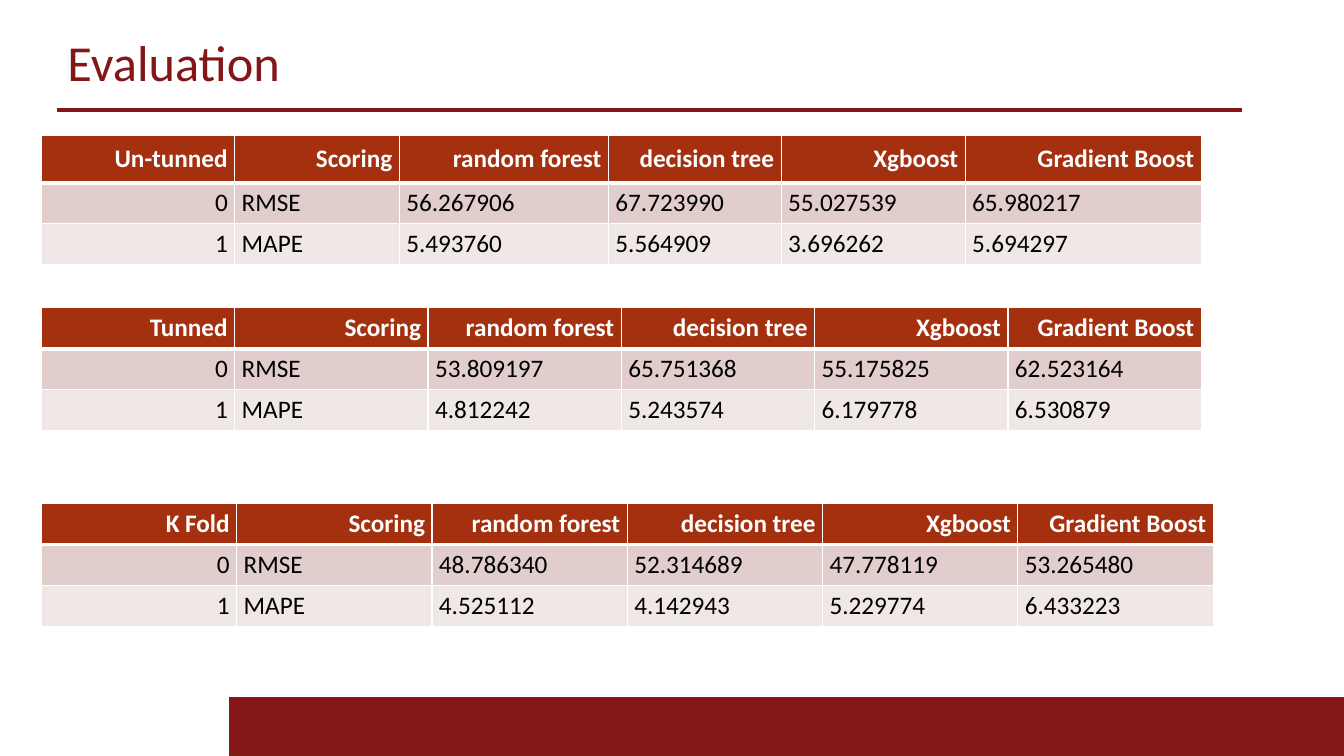
from lxml import etree
from pptx import Presentation
from pptx.dml.color import RGBColor
from pptx.enum.shapes import MSO_CONNECTOR, MSO_SHAPE
from pptx.enum.text import MSO_ANCHOR, PP_ALIGN
from pptx.oxml.ns import qn
from pptx.util import Pt

RECT = MSO_SHAPE.RECTANGLE
STRAIGHT = MSO_CONNECTOR.STRAIGHT
MIDDLE = MSO_ANCHOR.MIDDLE
LEFT, RIGHT = PP_ALIGN.LEFT, PP_ALIGN.RIGHT

FONT = "Calibri"
CRIMSON = "841617"
WHITE = "FFFFFF"
ROW_FILLS = ["A5300F", "E1CDCC", "F0E8E7"]
MODELS = ["random forest", "decision tree", "Xgboost", "Gradient Boost"]
ROW_H = 29.3
TABLE_X = 29.6

TABLES = [
    ("Un-tunned", 96.6, 33.9, [138.1, 117.6, 149.4, 123.4, 131.4, 168.6],
     ["56.267906", "67.723990", "55.027539", "65.980217"],
     ["5.493760", "5.564909", "3.696262", "5.694297"]),
    ("Tunned", 219.8, ROW_H, [138.1] * 6,
     ["53.809197", "65.751368", "55.175825", "62.523164"],
     ["4.812242", "5.243574", "6.179778", "6.530879"]),
    ("K Fold", 359.6, ROW_H, [139.5] * 6,
     ["48.786340", "52.314689", "47.778119", "53.265480"],
     ["4.525112", "4.142943", "5.229774", "6.433223"]),
]


def rgb(color):
    return RGBColor.from_string(color)


def set_font(p, size, color, bold=False):
    p.font.name = FONT
    p.font.size = Pt(size)
    p.font.color.rgb = rgb(color)
    p.font.bold = bold


def set_border(cell, side, width):
    tcPr = cell._tc.get_or_add_tcPr()
    ln = etree.SubElement(tcPr, qn(f"a:ln{side}"), w=str(Pt(width)))
    fill = etree.SubElement(ln, qn("a:solidFill"))
    etree.SubElement(fill, qn("a:srgbClr"), val=WHITE)


def add_footer(s, x, y, w, h):
    sp = s.shapes.add_shape(RECT, Pt(x), Pt(y), Pt(w), Pt(h))
    sp.shadow.inherit = False
    sp.fill.solid()
    sp.fill.fore_color.rgb = rgb(CRIMSON)
    sp.line.color.rgb = rgb("7A240B")
    sp.line.width = Pt(0.85)


def add_title(s, text, x, y, w, h):
    rule_y = y + h + 6.5
    rule = s.shapes.add_connector(STRAIGHT, Pt(x), Pt(rule_y), Pt(x + w), Pt(rule_y))
    rule.line.color.rgb = rgb(CRIMSON)
    rule.line.width = Pt(2.5)
    etree.SubElement(rule._element.spPr, qn("a:effectLst"))

    sp = s.shapes.title
    sp.left, sp.top, sp.width, sp.height = Pt(x), Pt(y), Pt(w), Pt(h)
    tf = sp.text_frame
    tf.text = text
    tf.vertical_anchor = MIDDLE
    p = tf.paragraphs[0]
    p.alignment = LEFT
    p.line_spacing = 0.9
    set_font(p, 36, CRIMSON)


def fill_cell(cell, text, row, col):
    cell.margin_left = cell.margin_right = Pt(5)
    cell.margin_top = cell.margin_bottom = Pt(2.5)
    cell.vertical_anchor = MIDDLE
    header = row == 0
    widths = {"L": 1, "R": 1, "T": 3 if row == 1 else 1, "B": 3 if header else 1}
    for side, width in widths.items():
        set_border(cell, side, width)
    cell.fill.solid()
    cell.fill.fore_color.rgb = rgb(ROW_FILLS[row])
    cell.text = text
    p = cell.text_frame.paragraphs[0]
    p.alignment = RIGHT if header or col == 0 else LEFT
    set_font(p, 18, WHITE if header else "000000", header)


def add_scores(s, name, x, y, header_h, col_widths, rmse, mape):
    rows = [[name, "Scoring", *MODELS], ["0", "RMSE", *rmse], ["1", "MAPE", *mape]]
    heights = [header_h, ROW_H, ROW_H]
    table = s.shapes.add_table(len(rows), len(col_widths), Pt(x), Pt(y),
                               Pt(sum(col_widths)), Pt(sum(heights))).table
    for column, width in zip(table.columns, col_widths):
        column.width = Pt(width)
    for i, values in enumerate(rows):
        table.rows[i].height = Pt(heights[i])
        for j, text in enumerate(values):
            fill_cell(table.cell(i, j), text, i, j)


def main():
    prs = Presentation()
    prs.slide_width, prs.slide_height = Pt(960), Pt(540)
    s = prs.slides.add_slide(prs.slide_layouts[5])
    add_footer(s, 164, 498, 796, 42)
    add_title(s, "Evaluation", 41, 21, 846, 51)
    for name, y, header_h, col_widths, rmse, mape in TABLES:
        add_scores(s, name, TABLE_X, y, header_h, col_widths, rmse, mape)
    prs.save("out.pptx")


if __name__ == "__main__":
    main()
